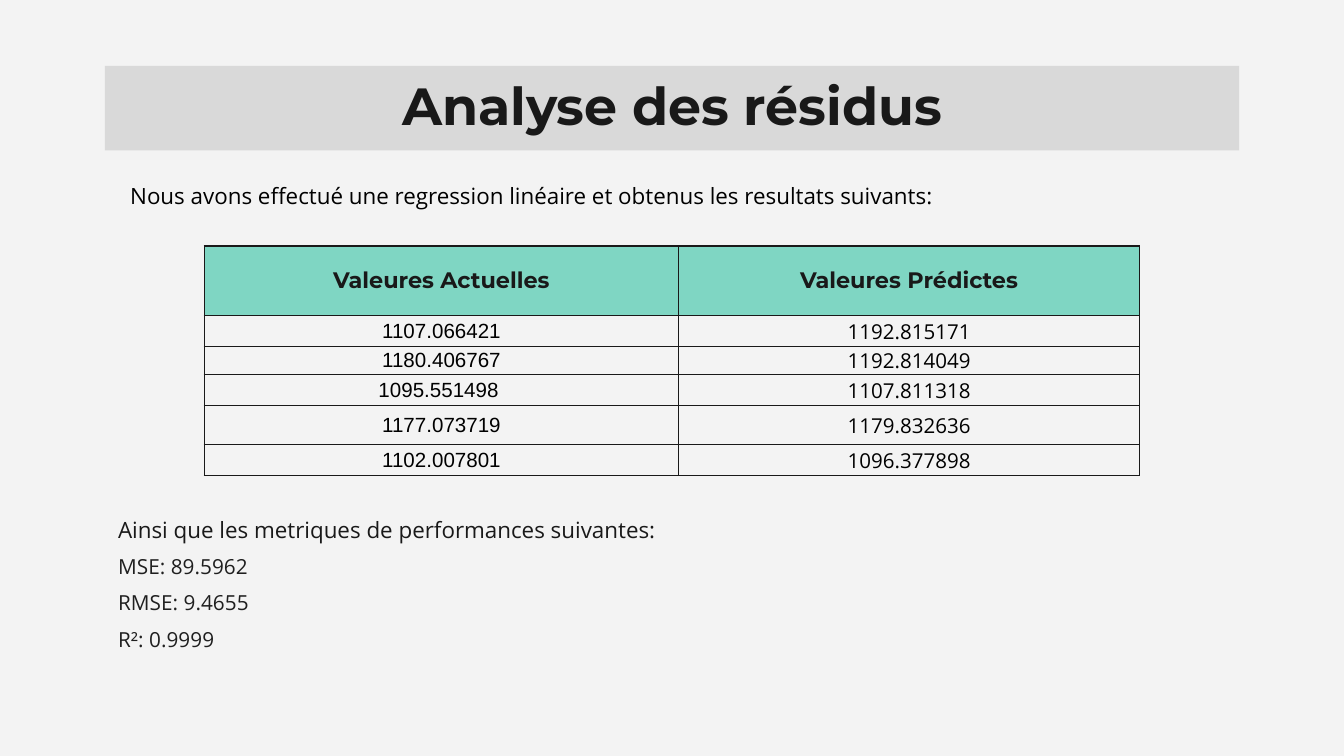
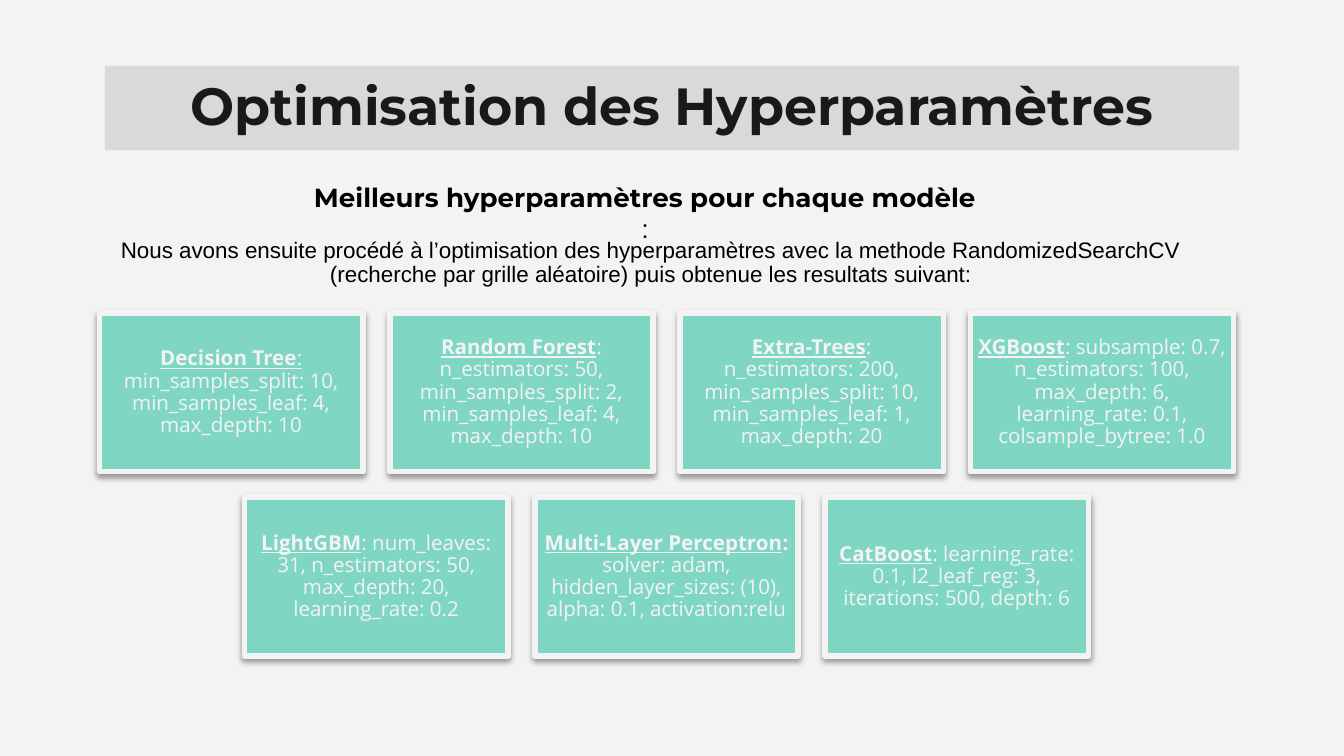
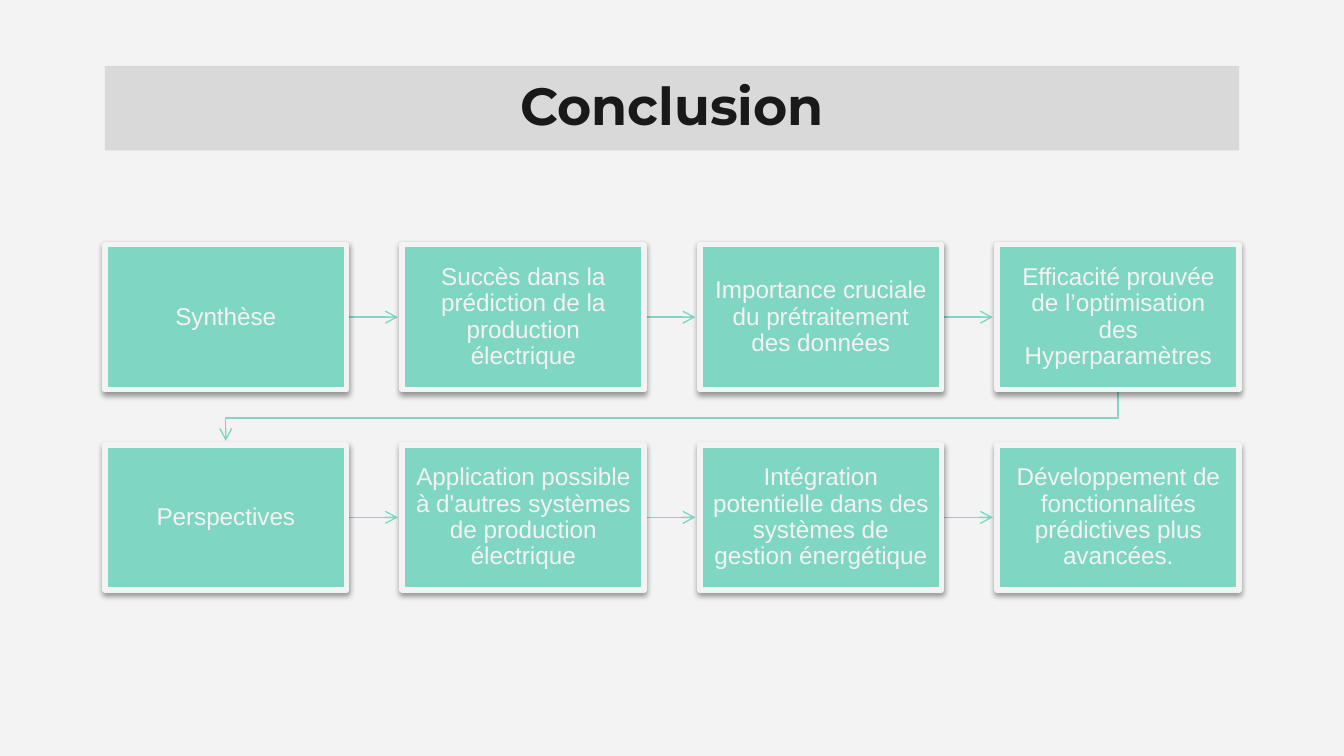
from lxml import etree
from pptx import Presentation
from pptx.dml.color import RGBColor
from pptx.enum.shapes import MSO_CONNECTOR, MSO_SHAPE
from pptx.enum.text import MSO_ANCHOR, MSO_AUTO_SIZE, PP_ALIGN
from pptx.oxml.ns import qn
from pptx.util import Inches, Pt

RECTANGLE, STRAIGHT = MSO_SHAPE.RECTANGLE, MSO_CONNECTOR.STRAIGHT
LEFT, CENTER = PP_ALIGN.LEFT, PP_ALIGN.CENTER
TOP, MIDDLE = MSO_ANCHOR.TOP, MSO_ANCHOR.MIDDLE
FIXED, GROW = MSO_AUTO_SIZE.NONE, MSO_AUTO_SIZE.SHAPE_TO_FIT_TEXT

PAPER, BAND, TEAL = "F3F3F3", "D9D9D9", "7FD6C3"
INK, GREY, BLACK = "191919", "1F1F1F", "000000"
HEADING, BODY, PLAIN = "Montserrat", "Open Sans", "Arial"
TITLE_BOX = (0.78, 0.49, 8.44, 0.63)

TITLE_FONT = {"size": Pt(28), "name": HEADING, "bold": True, "color": INK}
SUBTITLE_FONT = {"size": Pt(14), "name": HEADING, "bold": True, "color": BLACK}
HEADER_FONT = {"size": Pt(12), "name": HEADING, "bold": True, "color": INK}
VALUE_FONT = {"size": Pt(11), "bold": False, "color": BLACK}
INTRO_FONT = {"size": Pt(12), "name": BODY, "color": BLACK}
LEAD_FONT = INTRO_FONT | {"color": INK}
METRIC_FONT = {"size": Pt(11.1), "name": BODY, "color": GREY}
MODEL_FONT = {"size": Pt(11), "name": BODY, "color": PAPER, "bold": False}
STEP_FONT = {"size": Pt(13), "name": PLAIN, "color": PAPER}

RESULTS = [
    ("1107.066421", "1192.815171"),
    ("1180.406767", "1192.814049"),
    ("1095.551498 ", "1107.811318"),
    ("1177.073719", "1179.832636"),
    ("1102.007801", "1096.377898"),
]
METRICS = ["MSE: 89.5962", "RMSE: 9.4655", "R²: 0.9999"]

# Each model: name, format of the colon after it, parameters
REGULAR = {}
MODELS = [
    [
        ("Decision Tree", {"underline": True},
         "min_samples_split: 10, min_samples_leaf: 4, max_depth: 10"),
        ("Random Forest", REGULAR,
         "n_estimators: 50, min_samples_split: 2, min_samples_leaf: 4, max_depth: 10"),
        ("Extra-Trees", REGULAR,
         "n_estimators: 200, min_samples_split: 10, min_samples_leaf: 1, max_depth: 20"),
        ("XGBoost", REGULAR,
         "subsample: 0.7, n_estimators: 100, max_depth: 6, learning_rate: 0.1, "
         "colsample_bytree: 1.0"),
    ],
    [
        ("LightGBM", REGULAR,
         "num_leaves: 31, n_estimators: 50, max_depth: 20, learning_rate: 0.2"),
        ("Multi-Layer Perceptron", {"bold": True},
         "solver: adam, hidden_layer_sizes: (10), alpha: 0.1, activation:relu"),
        ("CatBoost", REGULAR,
         "learning_rate: 0.1, l2_leaf_reg: 3, iterations: 500, depth: 6"),
    ],
]
STEPS = [
    ["Synthèse",
     "Succès dans la prédiction de la production électrique",
     "Importance cruciale du prétraitement des données",
     "Efficacité prouvée de l’optimisation des Hyperparamètres"],
    ["Perspectives",
     "Application possible à d'autres systèmes de production électrique",
     "Intégration potentielle dans des systèmes de gestion énergétique",
     "Développement de fonctionnalités prédictives plus avancées."],
]


# Shared helpers
def rgb(value):
    return RGBColor.from_string(value)


def inches(values):
    return [Inches(value) for value in values]


def set_fill(target, color):
    target.fill.solid()
    target.fill.fore_color.rgb = rgb(color)


def write(frame, paras, align=LEFT, spacing=None, after=0):
    """Fill a text frame; each paragraph is a list of (text, format) spans."""
    for index, spans in enumerate(paras):
        para = frame.paragraphs[0] if index == 0 else frame.add_paragraph()
        para.alignment, para.line_spacing = align, spacing
        para.space_before, para.space_after = Pt(0), Pt(after)
        for text, formats in spans:
            span = para.add_run()
            span.text = text
            for key, value in formats.items():
                if key == "color":
                    span.font.color.rgb = rgb(value)
                else:
                    setattr(span.font, key, value)


def set_frame(frame, anchor, side, top, fit=FIXED):
    settings = {
        "word_wrap": True, "auto_size": fit, "vertical_anchor": anchor,
        "margin_left": Inches(side), "margin_right": Inches(side),
        "margin_top": Inches(top), "margin_bottom": Inches(top),
    }
    for key, value in settings.items():
        setattr(frame, key, value)


def add_text(page, box, paras, top=0.05, fit=GROW, **layout):
    frame = page.shapes.add_textbox(*inches(box)).text_frame
    set_frame(frame, TOP, 0.1, top, fit)
    write(frame, paras, **layout)


def add_page(deck, text):
    """Add a slide with its title in the grey band."""
    page = deck.slides.add_slide(deck.slide_layouts[5])
    title = page.shapes.title
    title.left, title.top, title.width, title.height = inches(TITLE_BOX)
    set_fill(title, BAND)
    set_frame(title.text_frame, MIDDLE, 0.1, 0.1)
    write(title.text_frame, [[(text, TITLE_FONT)]], CENTER, 0.9)
    return page


def add_card(page, box, spans, margin):
    card = page.shapes.add_shape(RECTANGLE, *inches(box))
    set_fill(card, TEAL)
    card.line.color.rgb, card.line.width = rgb(PAPER), Pt(3)
    card.shadow.inherit = False
    effects = card._element.spPr.find(qn("a:effectLst"))
    shadow = etree.SubElement(effects, qn("a:outerShdw"), blurRad=str(Pt(3.1)),
                              dist=str(Pt(1.6)), dir="5400000", rotWithShape="0")
    color = etree.SubElement(shadow, qn("a:srgbClr"), val=BLACK)
    etree.SubElement(color, qn("a:alpha"), val="38000")
    set_frame(card.text_frame, MIDDLE, margin, margin)
    write(card.text_frame, [spans], CENTER, 0.9)


def style_arrow(arrow):
    arrow.line.color.rgb, arrow.line.width = rgb(TEAL), Pt(0.75)
    properties = arrow._element.spPr
    etree.SubElement(properties.find(qn("a:ln")), qn("a:tailEnd"), type="arrow")
    etree.SubElement(properties, qn("a:effectLst"))


# Results table
def set_borders(cell):
    properties = cell._tc.get_or_add_tcPr()
    for index, side in enumerate(("lnL", "lnR", "lnT", "lnB")):
        line = etree.Element(qn("a:" + side), w=str(Pt(0.75)))
        fill = etree.SubElement(line, qn("a:solidFill"))
        etree.SubElement(fill, qn("a:srgbClr"), val=INK)
        properties.insert(index, line)


def fill_cell(cell, text, formats, side, top):
    for key, value in {"margin_left": side, "margin_right": side,
                       "margin_top": top, "margin_bottom": top}.items():
        setattr(cell, key, Inches(value))
    cell.vertical_anchor = MIDDLE
    write(cell.text_frame, [[(text, formats)]], CENTER)
    set_borders(cell)


def add_results(page, box):
    widths, heights = (3.53, 3.43), (0.52, 0.23, 0.2, 0.23, 0.29, 0.23)
    table = page.shapes.add_table(len(heights), len(widths), *inches(box)).table
    table.first_row = table.horz_banding = False
    for column, width in zip(table.columns, widths):
        column.width = Inches(width)
    for row, height in zip(table.rows, heights):
        row.height = Inches(height)
    for column, text in enumerate(("Valeures Actuelles", "Valeures Prédictes")):
        fill_cell(table.cell(0, column), text, HEADER_FONT, 0.1, 0.07)
        set_fill(table.cell(0, column), TEAL)
    for row, values in enumerate(RESULTS, 1):
        for column, (text, font) in enumerate(zip(values, (PLAIN, BODY))):
            cell = table.cell(row, column)
            fill_cell(cell, text, VALUE_FONT | {"name": font}, 0, 0)
            cell.fill.background()


# Card grids
def add_models(page, box):
    """Rows of model cards, each row centred in the box."""
    left, top, width, height = box
    card_width, card_height, gap = 1.96, 1.18, 0.2
    for row, models in enumerate(MODELS):
        row_width = len(models) * (card_width + gap) - gap
        start = left + (width - row_width) / 2
        y = top + row * (height - card_height)
        for column, (name, colon_format, parameters) in enumerate(models):
            spans = [(name, MODEL_FONT | {"bold": True, "underline": True}),
                     (": ", MODEL_FONT | colon_format),
                     (parameters, MODEL_FONT)]
            x = start + column * (card_width + gap)
            add_card(page, (x, y, card_width, card_height), spans, 0.05)


def add_return_arrow(page, start, turn, end):
    """Arrow that goes down, across at the height of the turn, and down again."""
    builder = page.shapes.build_freeform(*inches(start))
    corners = [(start[0], turn), (end[0], turn), end]
    builder.add_line_segments([inches(corner) for corner in corners], close=False)
    arrow = builder.convert_to_shape()
    arrow.fill.background()
    style_arrow(arrow)


def add_steps(page, box):
    """Two rows of cards linked by arrows, the first row leading to the second."""
    left, top, width, height = box
    card_width, card_height, reach = 1.8, 1.08, 0.38
    pitch = (width - card_width) / (len(STEPS[0]) - 1)
    bottom, second_top = top + card_height, top + height - card_height
    add_return_arrow(page, (left + width - card_width / 2, bottom), bottom + 0.21,
                     (left + card_width / 2, second_top - 0.03))
    for y, steps in zip((top, second_top), STEPS):
        for column, text in enumerate(steps):
            x = left + column * pitch
            if column < len(steps) - 1:
                end, middle = x + card_width, y + card_height / 2
                style_arrow(page.shapes.add_connector(
                    STRAIGHT, *inches((end, middle, end + reach, middle))))
            add_card(page, (x, y, card_width, card_height), [(text, STEP_FONT)], 0.09)


# Slides
def build_residuals(deck):
    page = add_page(deck, "Analyse des résidus")
    lead = "Ainsi que les metriques de performances suivantes:"
    add_text(page, (0.78, 3.74, 4.31, 1.34),
             [[(lead, LEAD_FONT)]] + [[(metric, METRIC_FONT)] for metric in METRICS],
             top=0.1, fit=FIXED, after=6)
    add_results(page, (1.52, 1.83, 6.96, 1.7))
    intro = ("Nous avons effectué une regression linéaire et obtenus "
             "les resultats suivants:")
    add_text(page, (0.87, 1.31, 8.35, 0.3), [[(intro, INTRO_FONT)]], after=6)


def build_tuning(deck):
    page = add_page(deck, "Optimisation des Hyperparamètres")
    add_models(page, (0.74, 2.33, 8.44, 2.55))
    method = ("Nous avons ensuite procédé à l’optimisation des hyperparamètres avec la "
              "methode RandomizedSearchCV (recherche par grille aléatoire) puis obtenue "
              "les resultats suivant:")
    add_text(page, (0.67, 1.73, 8.35, 0.72),
             [[(method, INTRO_FONT | {"name": PLAIN})]], align=CENTER, spacing=0.9)
    add_text(page, (2.23, 1.3, 5.14, 0.34),
             [[("Meilleurs hyperparamètres pour chaque modèle", SUBTITLE_FONT),
               (" :", SUBTITLE_FONT | {"bold": False})]], align=CENTER)


def build_conclusion(deck):
    page = add_page(deck, "Conclusion")
    add_steps(page, (0.78, 1.82, 8.44, 2.57))


def main():
    deck = Presentation()
    # Widescreen, 16:9
    deck.slide_width = Inches(10)
    deck.slide_height = deck.slide_width * 9 // 16
    set_fill(deck.slide_master.background, PAPER)
    build_residuals(deck)
    build_tuning(deck)
    build_conclusion(deck)
    deck.save("out.pptx")


if __name__ == "__main__":
    main()
